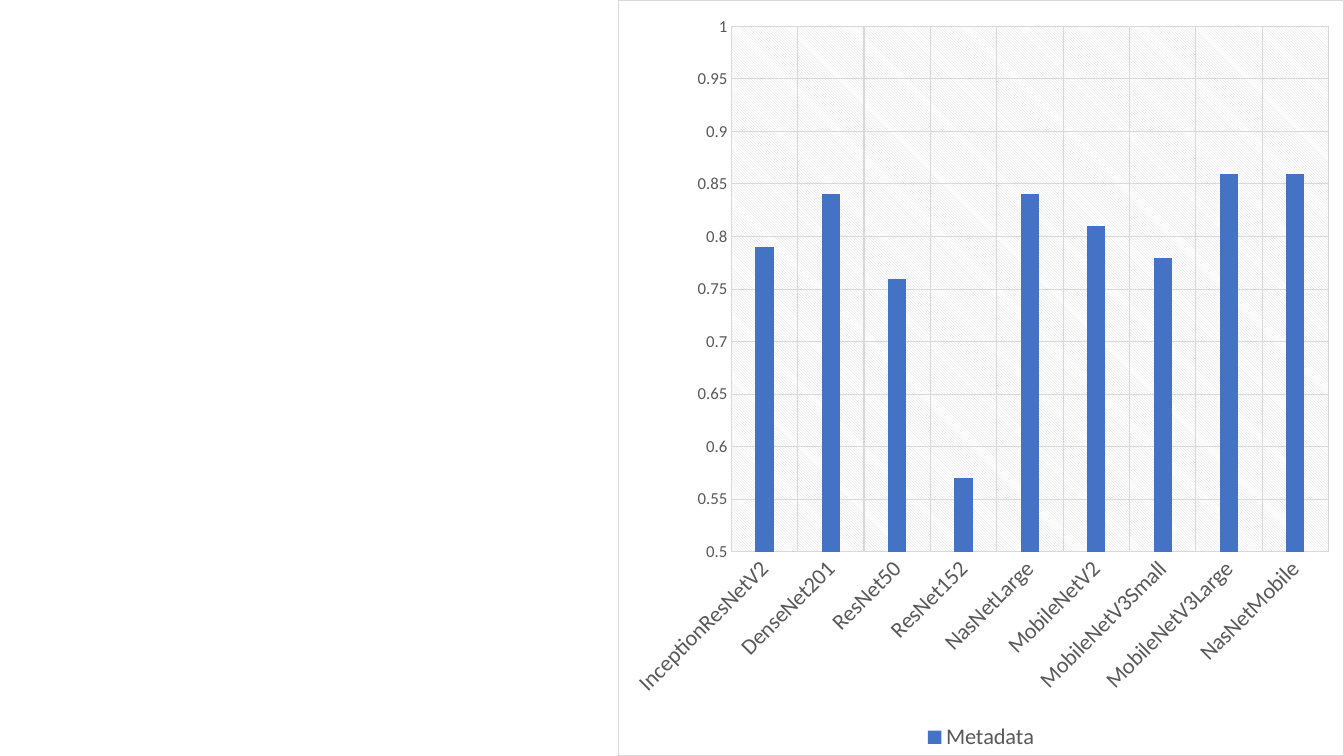
from lxml import etree
from pptx import Presentation
from pptx.chart.data import CategoryChartData
from pptx.dml.color import RGBColor
from pptx.enum.chart import XL_CHART_TYPE as CT, XL_LEGEND_POSITION as LP
from pptx.enum.chart import XL_TICK_MARK as TICK
from pptx.oxml import parse_xml
from pptx.oxml.ns import nsdecls, qn
from pptx.util import Pt

SLIDE_W, SLIDE_H = 1344, 756
SCALE = 12192000 / SLIDE_W

BLACK = RGBColor(0x00, 0x00, 0x00)
WHITE = RGBColor(0xFF, 0xFF, 0xFF)
GRAY = RGBColor(0x59, 0x59, 0x59)
RULE = RGBColor(0xD9, 0xD9, 0xD9)
BLUE = RGBColor(0x44, 0x72, 0xC4)

SCORES = {
    "InceptionResNetV2": 0.79,
    "DenseNet201": 0.84,
    "ResNet50": 0.76,
    "ResNet152": 0.57,
    "NasNetLarge": 0.84,
    "MobileNetV2": 0.81,
    "MobileNetV3Small": 0.78,
    "MobileNetV3Large": 0.86,
    "NasNetMobile": 0.86,
}


def px(n):
    return round(n * SCALE)


def set_font(font, size, color):
    font.name = "Calibri"
    font.size = Pt(size)
    font.color.rgb = color


def set_line(line):
    line.color.rgb = RULE
    line.width = Pt(0.75)


def style_axis(axis, size):
    axis.major_tick_mark = axis.minor_tick_mark = TICK.NONE
    axis.has_major_gridlines = True
    set_line(axis.major_gridlines.format.line)
    set_font(axis.tick_labels.font, size, GRAY)


def style_areas(chart):
    """Chart background and border, hatched plot area."""
    space = chart.element
    space.find(qn("c:chart")).addnext(parse_xml(
        f'<c:spPr {nsdecls("c", "a")}>'
        f'<a:solidFill><a:srgbClr val="{WHITE}"/></a:solidFill>'
        f'<a:ln w="{Pt(0.75)}"><a:solidFill><a:srgbClr val="{RULE}"/></a:solidFill></a:ln>'
        '</c:spPr>'))
    space.find(".//" + qn("c:plotArea")).append(parse_xml(
        f'<c:spPr {nsdecls("c", "a")}><a:pattFill prst="ltDnDiag">'
        f'<a:fgClr><a:srgbClr val="{RULE}"/></a:fgClr>'
        f'<a:bgClr><a:srgbClr val="{WHITE}"/></a:bgClr>'
        '</a:pattFill><a:ln><a:noFill/></a:ln></c:spPr>'))


def place_plot(chart, w, h, left, top, plot_w, plot_h):
    """Fix the inner plot area, given in px within the chart."""
    area = chart.element.find(".//" + qn("c:plotArea"))
    for old in area.findall(qn("c:layout")):
        area.remove(old)
    layout = parse_xml(f'<c:layout {nsdecls("c")}><c:manualLayout/></c:layout>')
    values = {"layoutTarget": "inner", "xMode": "edge", "yMode": "edge",
              "x": left / w, "y": top / h, "w": plot_w / w, "h": plot_h / h}
    for tag, value in values.items():
        etree.SubElement(layout[0], qn(f"c:{tag}")).set("val", str(value))
    area.insert(0, layout)


def add_score_chart(slide, x, y, w, h):
    data = CategoryChartData()
    data.categories = list(SCORES)
    data.add_series("Metadata", list(SCORES.values()))
    chart = slide.shapes.add_chart(
        CT.COLUMN_CLUSTERED, px(x), px(y), px(w), px(h), data).chart
    set_font(chart.font, 10, BLACK)
    chart.has_title = False

    # Columns
    plot = chart.plots[0]
    plot.gap_width, plot.overlap = 267, -43
    plot.vary_by_categories = False
    fill = plot.series[0].format.fill
    fill.solid()
    fill.fore_color.rgb = BLUE

    # Axes
    models, score = chart.category_axis, chart.value_axis
    style_axis(models, 16)
    set_line(models.format.line)
    models._element.find(qn("c:txPr")).find(qn("a:bodyPr")).set("rot", "-2700000")
    style_axis(score, 12)
    score.format.line.fill.background()
    score.minimum_scale, score.maximum_scale, score.major_unit = 0.5, 1, 0.05
    score.tick_labels.number_format = "General"
    score.tick_labels.number_format_is_linked = False

    # Legend
    chart.has_legend = True
    chart.legend.position = LP.BOTTOM
    chart.legend.include_in_layout = False
    set_font(chart.legend.font, 16, GRAY)

    style_areas(chart)
    place_plot(chart, w, h, 113, 26, 598, 526)


def main():
    prs = Presentation()
    prs.slide_width, prs.slide_height = px(SLIDE_W), px(SLIDE_H)
    slide = prs.slides.add_slide(prs.slide_layouts[6])
    add_score_chart(slide, 618, 0, 726, 756)
    prs.save("out.pptx")


if __name__ == "__main__":
    main()
